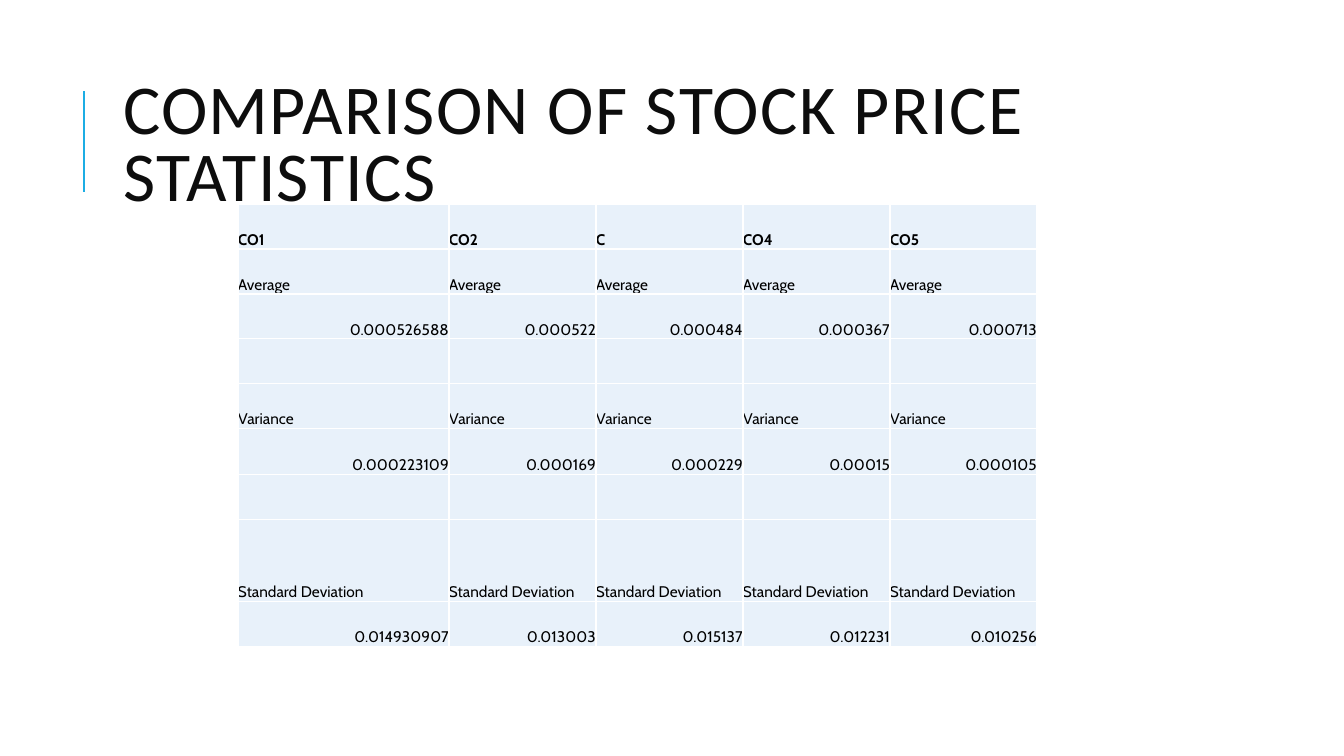
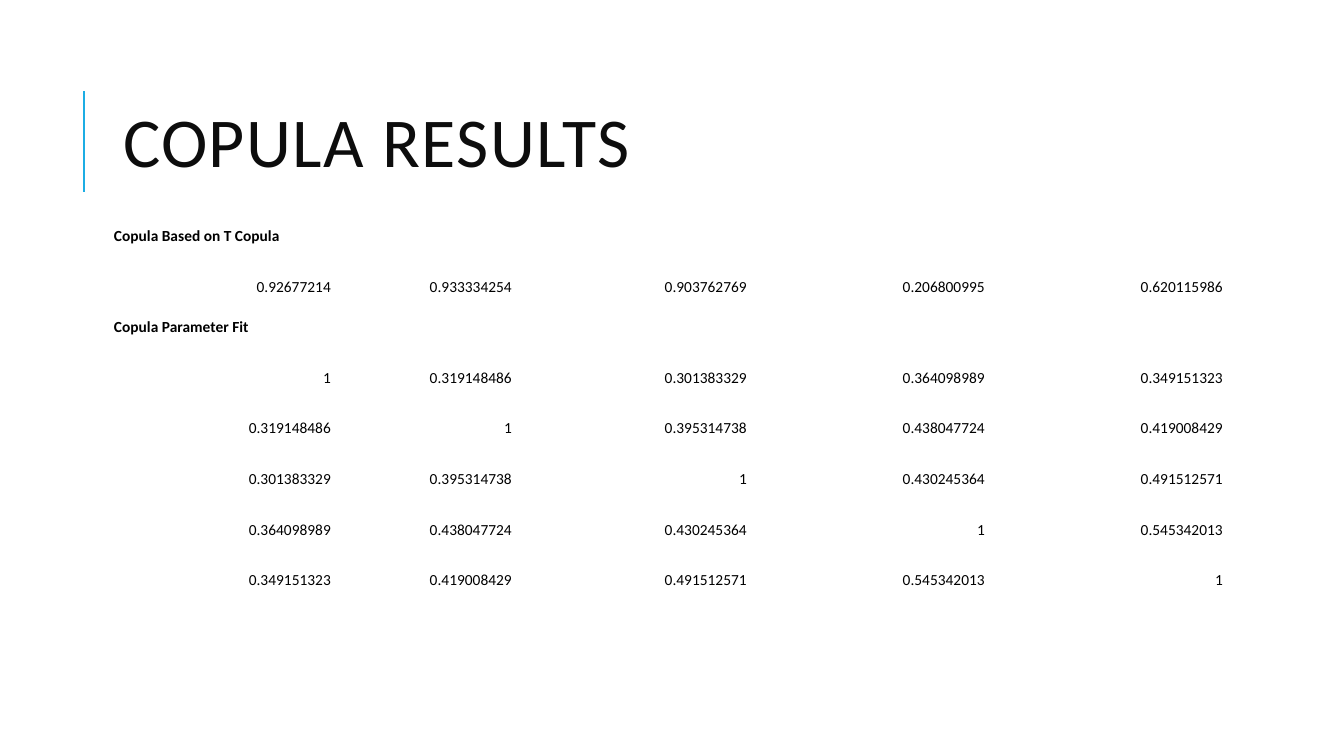
from lxml.etree import SubElement
from pptx import Presentation
from pptx.dml.color import RGBColor
from pptx.enum.shapes import MSO_CONNECTOR
from pptx.enum.text import MSO_ANCHOR, MSO_AUTO_SIZE, PP_ALIGN
from pptx.oxml.ns import qn
from pptx.util import Emu, Pt

TICKERS = ["CO1", "CO2", "C", "CO4", "CO5"]
AVERAGES = ["0.000526588", "0.000522", "0.000484", "0.000367", "0.000713"]
VARIANCES = ["0.000223109", "0.000169", "0.000229", "0.00015", "0.000105"]
DEVIATIONS = ["0.014930907", "0.013003", "0.015137", "0.012231", "0.010256"]

STATISTICS = {
    "title": "COMPARISON OF STOCK PRICE STATISTICS",
    "rows": [
        TICKERS,
        ["Average"] * 5, AVERAGES, [],
        ["Variance"] * 5, VARIANCES, [],
        ["Standard Deviation"] * 5, DEVIATIONS,
    ],
    "bold_rows": [0],
    "corner": (238, 204),
    "widths": [211] + [147] * 4,
    "heights": [45, 45, 45, 45, 45, 46, 45, 82, 45],
    "inset": 0,
    "font": "Cabin",
    "fill": "E8F1FA",
    "border": "FFFFFF",
}
COPULA = {
    "title": "COPULA RESULTS",
    "rows": [
        ["Copula Based on T Copula"],
        ["0.92677214", "0.933334254", "0.903762769", "0.206800995", "0.620115986"],
        ["Copula Parameter Fit"],
        ["1", "0.319148486", "0.301383329", "0.364098989", "0.349151323"],
        ["0.319148486", "1", "0.395314738", "0.438047724", "0.419008429"],
        ["0.301383329", "0.395314738", "1", "0.430245364", "0.491512571"],
        ["0.364098989", "0.438047724", "0.430245364", "1", "0.545342013"],
        ["0.349151323", "0.419008429", "0.491512571", "0.545342013", "1"],
    ],
    "bold_rows": [0, 2],
    "corner": (113, 196),
    "widths": [219, 181, 235, 238, 238],
    "heights": [50, 51, 40, 51, 50, 51, 51, 50],
    "inset": 1,
    "font": "Calibri",
    "fill": None,
    "border": None,
}

SLIDE_SIZE = (1344, 756)
TITLE_BOX = (113, 65, 1072, 165)
ACCENT_LINE = (84, 192, 84, 91)
ACCENT, TITLE_COLOUR, TABLE_COLOUR = "1CADE4", "0D0D0D", "000000"
PLAIN_TABLE_STYLE = "{2D5ABB26-0587-4C30-8999-92F81FD0307C}"


def px(pixels):
    """Turn pixels into EMU."""
    return Emu(round(pixels * 914400 / 100.8))


def colour(hex_string):
    """Turn a hex string into a colour."""
    return RGBColor.from_string(hex_string)


def add_run(paragraph, text, size, font, hex_colour, bold=False):
    """Append a formatted run and return it."""
    run = paragraph.add_run()
    run.text = text
    run.font.size, run.font.name, run.font.bold = Pt(size), font, bold
    run.font.color.rgb = colour(hex_colour)
    return run


def prepare_layout(layout, slide):
    """Give the layout its title box and the accent line, drawn by way of a slide."""
    title = layout.placeholders[0]
    title.left, title.top, title.width, title.height = map(px, TITLE_BOX)
    line = slide.shapes.add_connector(MSO_CONNECTOR.STRAIGHT, *map(px, ACCENT_LINE))
    line.line.color.rgb, line.line.width = colour(ACCENT), Pt(1.5)
    SubElement(line.element.spPr, qn("a:effectLst"))
    layout.shapes.element.append(line.element)


def write_title(slide, text):
    """Fill the title placeholder in the shared style."""
    frame = slide.shapes.title.text_frame
    frame.word_wrap, frame.auto_size = True, MSO_AUTO_SIZE.NONE
    frame.vertical_anchor = MSO_ANCHOR.MIDDLE
    paragraph = frame.paragraphs[0]
    paragraph.alignment, paragraph.line_spacing = PP_ALIGN.LEFT, 0.8
    run = add_run(paragraph, text, 50, "Calibri", TITLE_COLOUR)
    run.font.element.set("spc", "100") if hasattr(run.font, "element") else \
        paragraph.runs[0]._r.get_or_add_rPr().set("spc", "100")


def add_borders(cell, hex_colour):
    """Draw a one point line on each side of a cell."""
    properties = cell._tc.get_or_add_tcPr()
    for side in ("lnL", "lnR", "lnT", "lnB"):
        line = SubElement(properties, qn(f"a:{side}"), w=str(Pt(1)))
        fill = SubElement(line, qn("a:solidFill"))
        SubElement(fill, qn("a:srgbClr"), val=hex_colour)


def format_cell(cell, content):
    """Set margins, anchor, borders and fill of a cell."""
    cell.margin_left = cell.margin_right = cell.margin_top = px(content["inset"])
    cell.margin_bottom = 0
    cell.vertical_anchor = MSO_ANCHOR.BOTTOM
    if content["border"]:
        add_borders(cell, content["border"])
    if content["fill"]:
        cell.fill.solid()
        cell.fill.fore_color.rgb = colour(content["fill"])
    else:
        cell.fill.background()


def add_data_table(slide, content):
    """Add a table; numbers go right, and a lone heading spans two columns."""
    widths, heights = content["widths"], content["heights"]
    frame = slide.shapes.add_table(
        len(heights), len(widths), *map(px, content["corner"]),
        px(sum(widths)), px(sum(heights)))
    table = frame.table
    table.first_row = table.horz_banding = False
    next(frame.element.iter(qn("a:tableStyleId"))).text = PLAIN_TABLE_STYLE
    for column, width in zip(table.columns, widths):
        column.width = px(width)
    for row, height in zip(table.rows, heights):
        row.height = px(height)
        for cell in row.cells:
            format_cell(cell, content)
    for row_index, texts in enumerate(content["rows"]):
        if len(texts) == 1:
            table.cell(row_index, 0).merge(table.cell(row_index, 1))
        for column_index, text in enumerate(texts):
            paragraph = table.cell(row_index, column_index).text_frame.paragraphs[0]
            paragraph.alignment = PP_ALIGN.RIGHT if text[0].isdigit() else PP_ALIGN.LEFT
            add_run(paragraph, text, 11, content["font"], TABLE_COLOUR,
                    row_index in content["bold_rows"])


presentation = Presentation()
presentation.slide_width, presentation.slide_height = map(px, SLIDE_SIZE)
title_layout = presentation.slide_layouts.get_by_name("Title Only")
for number, slide_content in enumerate([STATISTICS, COPULA]):
    new_slide = presentation.slides.add_slide(title_layout)
    if number == 0:
        prepare_layout(title_layout, new_slide)
    write_title(new_slide, slide_content["title"])
    add_data_table(new_slide, slide_content)
presentation.save("out.pptx")
